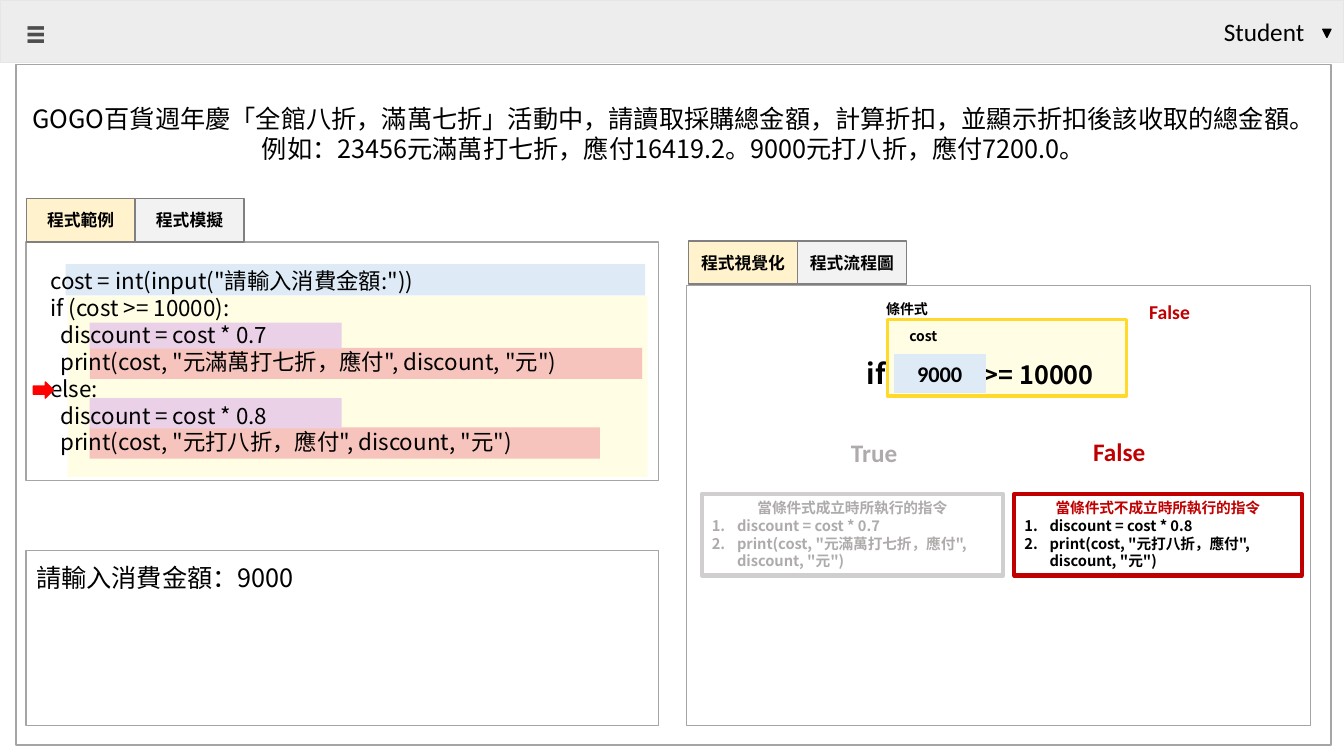
from dataclasses import dataclass

from lxml import etree
from pptx import Presentation
from pptx import util as u
from pptx.dml.color import RGBColor
from pptx.enum import shapes, text
from pptx.oxml.ns import qn

RECT = shapes.MSO_SHAPE.RECTANGLE
LEFT, CENTER = text.PP_ALIGN.LEFT, text.PP_ALIGN.CENTER
TOP, MIDDLE = text.MSO_ANCHOR.TOP, text.MSO_ANCHOR.MIDDLE


@dataclass(frozen=True)
class Theme:
    cjk: str = "Noto Sans CJK SC"
    latin: str = "Calibri"
    ink: str = "000000"
    icon: str = "4D4D4D"
    frame: str = "A5A5A5"
    header: str = "EDEDED"
    header_line: str = "E7E6E6"
    tab_line: str = "808080"
    tab_on: str = "FFF2CC"
    tab_off: str = "F2F2F2"
    blue: str = "DEEBF7"
    cream: str = "FFFDE3"
    gold: str = "FFDA2D"
    pink: str = "F6C4BC"
    violet: str = "EAD1E7"
    red: str = "C00000"
    pointer: str = "FF0000"
    muted: str = "AFABAB"
    muted_line: str = "D0CECE"
    tiny: float = 10
    small: float = 10.5
    tab: float = 12
    note: float = 14
    code: float = 16
    body: float = 18
    keyword: float = 20
    icon_size: float = 28


T = Theme()


def rgb(value):
    return RGBColor.from_string(value)


def set_all(obj, values):
    for name, value in values.items():
        setattr(obj, name, value)


def place(sp, box):
    set_all(sp, dict(zip(("left", "top", "width", "height"), map(u.Inches, box))))


def outline(sp, color, weight=1):
    sp.line.color.rgb = rgb(color)
    sp.line.width = u.Pt(weight)


def add_box(slide, box, fill=None, line=None, weight=1, kind=RECT):
    sp = slide.shapes.add_shape(kind, *map(u.Inches, box))
    sp.shadow.inherit = False
    if fill:
        sp.fill.solid()
        sp.fill.fore_color.rgb = rgb(fill)
    else:
        sp.fill.background()
    if line:
        outline(sp, line, weight)
    else:
        sp.line.fill.background()
    return sp


def add_label(slide, box):
    return slide.shapes.add_textbox(*map(u.Inches, box))


def setup_frame(sp, anchor=TOP, inset=0.1, top=0.05, wrap=True):
    set_all(sp.text_frame, {
        "word_wrap": wrap, "auto_size": text.MSO_AUTO_SIZE.NONE,
        "vertical_anchor": anchor,
        "margin_left": u.Inches(inset), "margin_right": u.Inches(inset),
        "margin_top": u.Inches(top), "margin_bottom": u.Inches(0.05)})


def write(sp, lines, size, color=T.ink, bold=False, font=T.cjk, align=LEFT):
    """Fill a shape; each line is a string or a dict that overrides the format."""
    tf = sp.text_frame
    for i, line in enumerate(lines):
        line = line if isinstance(line, dict) else {"text": line}
        p = tf.paragraphs[0] if i == 0 else tf.add_paragraph()
        pPr = p._p.get_or_add_pPr()
        numbered = line.get("numbered", False)
        pPr.set("marL", str(u.Inches(0.25 if numbered else line.get("indent", 0))))
        pPr.set("indent", str(u.Inches(-0.25 if numbered else 0)))
        if numbered:
            etree.SubElement(pPr, qn("a:buFont"), typeface=font)
            etree.SubElement(pPr, qn("a:buAutoNum"), type="arabicPeriod")
        else:
            etree.SubElement(pPr, qn("a:buNone"))
        pt = line.get("size", size)
        set_all(p, {"alignment": line.get("align", align),
                    "space_before": u.Pt(line.get("before", 0)),
                    "space_after": u.Pt(0), "line_spacing": u.Pt(pt * 1.2)})
        r = p.add_run()
        r.text = line["text"]
        set_all(r.font, {"size": u.Pt(pt), "bold": bold, "name": font})
        r.font.color.rgb = rgb(line.get("color", color))
        etree.SubElement(r._r.get_or_add_rPr(), qn("a:ea"), typeface=font)


def add_text(slide, box, words, size, color=T.ink, bold=True, **frame):
    sp = add_label(slide, box)
    setup_frame(sp, **frame)
    write(sp, [words], size, color, bold, T.latin, CENTER if frame else LEFT)


def add_tabs(slide, left, top, names):
    """Row of tabs, the first one selected."""
    width = 1.08
    for i, name in enumerate(names):
        sp = add_box(slide, (left + i * width, top, width, 0.43),
                     T.tab_off if i else T.tab_on, T.tab_line)
        setup_frame(sp, MIDDLE)
        write(sp, [name], T.tab, bold=True, align=CENTER)


def fill_branch(sp, box, heading, commands, line, heading_color, color):
    place(sp, box)
    outline(sp, line, 3)
    setup_frame(sp)
    steps = [{"text": c, "numbered": True, "color": color} for c in commands]
    write(sp, [{"text": heading, "align": CENTER}, *steps],
          T.small, heading_color, True)


def add_header(slide):
    add_box(slide, (0, 0, 13.33, 0.62), T.header, T.header_line)
    add_text(slide, (12.04, 0.11, 1.16, 0.4), "Student", T.body, bold=False)
    add_text(slide, (0.16, 0.03, 0.49, 0.57), "≡", T.icon_size, T.icon)
    arrow = add_box(slide, (13.12, 0.29, 0.08, 0.08), T.ink, T.ink,
                    kind=shapes.MSO_SHAPE.ISOSCELES_TRIANGLE)
    arrow.rotation = 180


def add_code(slide, commands_true, commands_false):
    for box, color in (((0.65, 2.62, 5.75, 0.31), T.blue),
                       ((0.67, 2.94, 5.75, 1.79), T.cream),
                       ((0.89, 4.24, 5.06, 0.31), T.pink),
                       ((0.89, 3.45, 5.48, 0.31), T.pink),
                       ((0.89, 3.2, 2.5, 0.26), T.violet),
                       ((0.89, 3.95, 2.5, 0.3), T.violet)):
        add_box(slide, box, color)
    lines = ['cost = int(input("請輸入消費金額:"))', "if (cost >= 10000):",
             *("  " + c for c in commands_true), "else:",
             *("  " + c for c in commands_false)]
    sp = add_box(slide, (0.26, 2.4, 6.27, 2.37), line=T.frame)
    setup_frame(sp, MIDDLE)
    write(sp, [{"text": c, "indent": 0.14} for c in lines], T.code)
    add_box(slide, (0.33, 3.79, 0.2, 0.16), T.pointer, T.pointer,
            kind=shapes.MSO_SHAPE.RIGHT_ARROW)


def add_condition(slide):
    keyword = add_label(slide, (8.5, 2.93, 1, 0.99))
    setup_frame(keyword)
    write(keyword, [{"text": "條件式", "indent": 0.19},
                    {"text": "if", "size": T.keyword, "before": 28}],
          T.tiny, bold=True)
    test = add_box(slide, (8.8, 3.17, 2.37, 0.76), T.cream, T.gold, 2.25)
    setup_frame(test, top=0.08)
    write(test, [{"text": "cost", "indent": 0.12},
                 {"text": ">= 10000", "indent": 0.86, "size": T.body,
                  "before": 10.5}], T.tiny, bold=True)
    value = add_box(slide, (8.87, 3.52, 0.9, 0.37), T.blue, T.blue, 0.75)
    setup_frame(value)
    write(value, ["9000"], T.code, bold=True, font=T.latin, align=CENTER)
    add_text(slide, (11.3, 2.93, 0.87, 0.34), "False", T.note, T.red)
    add_text(slide, (8.34, 4.29, 0.66, 0.28), "True", T.body, T.muted, wrap=False)
    add_text(slide, (10.74, 4.28, 0.72, 0.28), "False", T.body, T.red, wrap=False)


def main():
    prs = Presentation()
    prs.slide_width, prs.slide_height = u.Inches(13.33), u.Inches(7.5)
    slide = prs.slides.add_slide(prs.slide_layouts[3])
    title, branch_true, branch_false = slide.placeholders
    commands_true = ["discount = cost * 0.7",
                     'print(cost, "元滿萬打七折，應付", discount, "元")']
    commands_false = ["discount = cost * 0.8",
                      'print(cost, "元打八折，應付", discount, "元")']

    place(title, (0.16, 0.97, 13.04, 0.7))
    setup_frame(title, inset=0.05)
    write(title, [
        "GOGO百貨週年慶「全館八折，滿萬七折」活動中，請讀取採購總金額，計算折扣，並顯示折扣後該收取的總金額。",
        "例如：23456元滿萬打七折，應付16419.2。9000元打八折，應付7200.0。"],
        T.body, align=CENTER)
    fill_branch(branch_true, (6.96, 4.9, 2.99, 0.81), "當條件式成立時所執行的指令",
                commands_true, T.muted_line, T.muted, T.muted)
    fill_branch(branch_false, (10.06, 4.9, 2.85, 0.81), "當條件式不成立時所執行的指令",
                commands_false, T.red, T.red, T.ink)

    add_box(slide, (0.16, 0.64, 13.04, 6.75), line=T.frame)
    add_box(slide, (6.81, 2.83, 6.19, 4.37), line=T.frame)
    add_header(slide)
    add_condition(slide)
    add_code(slide, commands_true, commands_false)
    add_tabs(slide, 6.83, 2.39, ("程式視覺化", "程式流程圖"))
    add_tabs(slide, 0.26, 1.97, ("程式範例", "程式模擬"))
    output = add_box(slide, (0.26, 5.46, 6.27, 1.74), line=T.frame)
    setup_frame(output, top=0.12)
    write(output, ["請輸入消費金額：9000"], T.body)
    prs.save("out.pptx")


if __name__ == "__main__":
    main()
